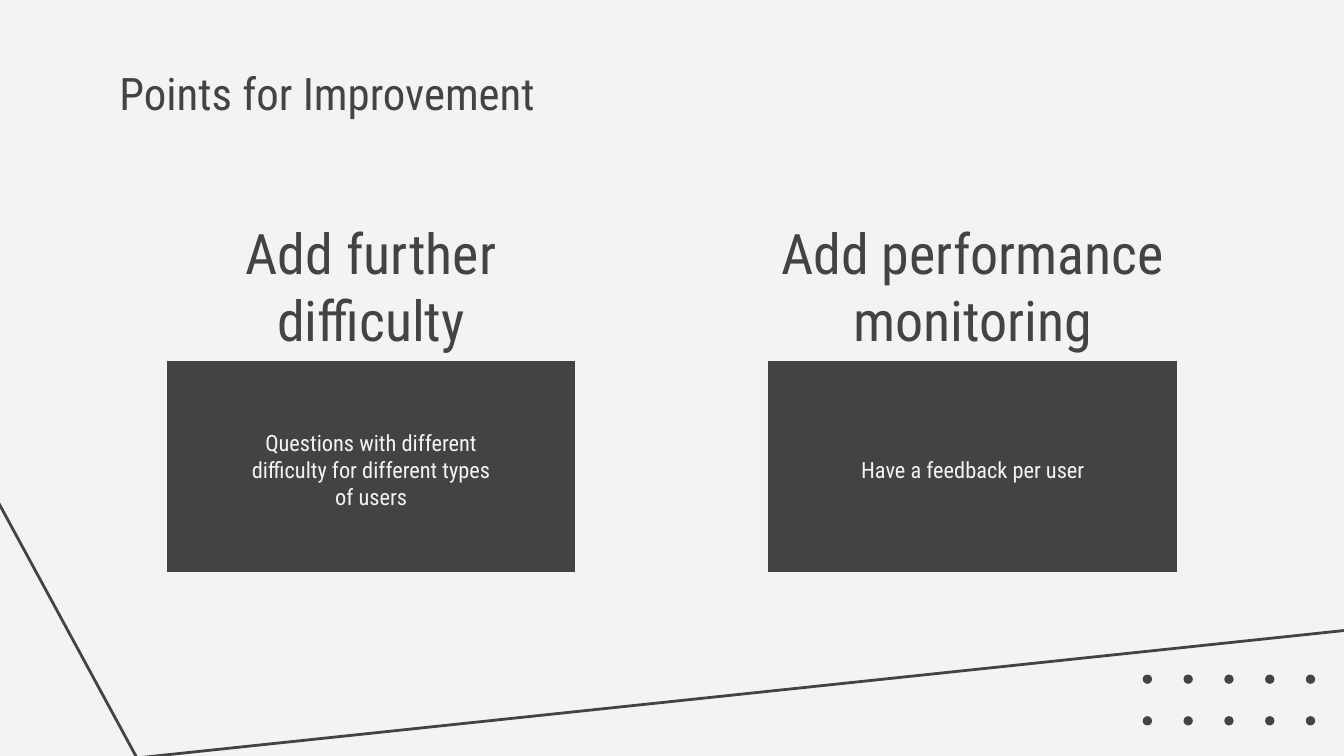
"""Build the "Points for Improvement" slide with two recommendation panels."""
from pptx import Presentation
from pptx.dml.color import RGBColor
from pptx.enum.shapes import MSO_SHAPE
from pptx.enum.text import MSO_ANCHOR, PP_ALIGN
from pptx.util import Pt

PROCESS, OVAL = MSO_SHAPE.FLOWCHART_PROCESS, MSO_SHAPE.OVAL
TOP, MIDDLE = MSO_ANCHOR.TOP, MSO_ANCHOR.MIDDLE
LEFT, CENTER = PP_ALIGN.LEFT, PP_ALIGN.CENTER

FONT = "Roboto Condensed"
COLORS = {"dark": "434343", "light": "F3F3F3"}

TITLE = "Points for Improvement"
IMPROVEMENTS = [
    ("Add further difficulty", "Questions with different difficulty for different types of users"),
    ("Add performance monitoring", "Have a feedback per user"),
]

SLIDE_WIDTH, SLIDE_HEIGHT = 720, 405
PANEL_LEFT, PANEL_TOP, PANEL_WIDTH, PANEL_HEIGHT = 89.3, 193.5, 219, 113
PANEL_STEP = 322.4
HEADING_TOP, HEADING_HEIGHT = 126, 53.3
BODY_WIDTH, BODY_HEIGHT = 130.3, 98
DOT_LEFT, DOT_TOP, DOT_SIZE = 612.2, 361.4, 5
DOT_COLUMNS, DOT_ROWS = 5, 2
DOT_STEP_X, DOT_STEP_Y = 21.85, 22.3
CORNER_LINE = [(-8.6, 254.9), (73.4, 406.1), (728, 337)]


def color(name):
    return RGBColor.from_string(COLORS[name])


def add_filled(slide, kind, left, top, width, height):
    shape = slide.shapes.add_shape(kind, Pt(left), Pt(top), Pt(width), Pt(height))
    shape.shadow.inherit = False
    shape.fill.solid()
    shape.fill.fore_color.rgb = color("dark")
    shape.line.fill.background()


def add_text(slide, text, box, size, color_name, alignment=CENTER, anchor=MIDDLE, insets=(0, 0.7, 0, 0)):
    text_frame = slide.shapes.add_textbox(*map(Pt, box)).text_frame
    text_frame.word_wrap = True
    text_frame.vertical_anchor = anchor
    (text_frame.margin_left, text_frame.margin_top,
     text_frame.margin_right, text_frame.margin_bottom) = map(Pt, insets)
    text_frame.text = text
    paragraph = text_frame.paragraphs[0]
    paragraph.alignment = alignment
    font = paragraph.runs[0].font
    font.name, font.size = FONT, Pt(size)
    font.color.rgb = color(color_name)


def add_corner_line(slide):
    start, *corners = [(Pt(x), Pt(y)) for x, y in CORNER_LINE]
    builder = slide.shapes.build_freeform(*start)
    builder.add_line_segments(corners, close=False)
    shape = builder.convert_to_shape()
    shape.shadow.inherit = False
    shape.fill.background()
    shape.line.color.rgb = color("dark")
    shape.line.width = Pt(1.5)


def main():
    presentation = Presentation()
    presentation.slide_width, presentation.slide_height = Pt(SLIDE_WIDTH), Pt(SLIDE_HEIGHT)
    slide = presentation.slides.add_slide(presentation.slide_layouts[6])
    slide.background.fill.solid()
    slide.background.fill.fore_color.rgb = color("light")

    for row in range(DOT_ROWS):
        for column in range(DOT_COLUMNS):
            add_filled(slide, OVAL, DOT_LEFT + column * DOT_STEP_X,
                       DOT_TOP + row * DOT_STEP_Y, DOT_SIZE, DOT_SIZE)
    add_corner_line(slide)

    add_text(slide, TITLE, (56.9, 28.1, 253.4, 65.5), 24, "dark", LEFT, TOP, (7.2,) * 4)
    for index, (heading, body) in enumerate(IMPROVEMENTS):
        left = PANEL_LEFT + index * PANEL_STEP
        add_filled(slide, PROCESS, left, PANEL_TOP, PANEL_WIDTH, PANEL_HEIGHT)
        body_left = left + (PANEL_WIDTH - BODY_WIDTH) / 2
        body_top = PANEL_TOP + (PANEL_HEIGHT - BODY_HEIGHT) / 2 + 1.2
        add_text(slide, body, (body_left, body_top, BODY_WIDTH, BODY_HEIGHT), 12, "light")
        add_text(slide, heading, (left, HEADING_TOP, PANEL_WIDTH, HEADING_HEIGHT), 30, "dark")

    presentation.save("out.pptx")


if __name__ == "__main__":
    main()
